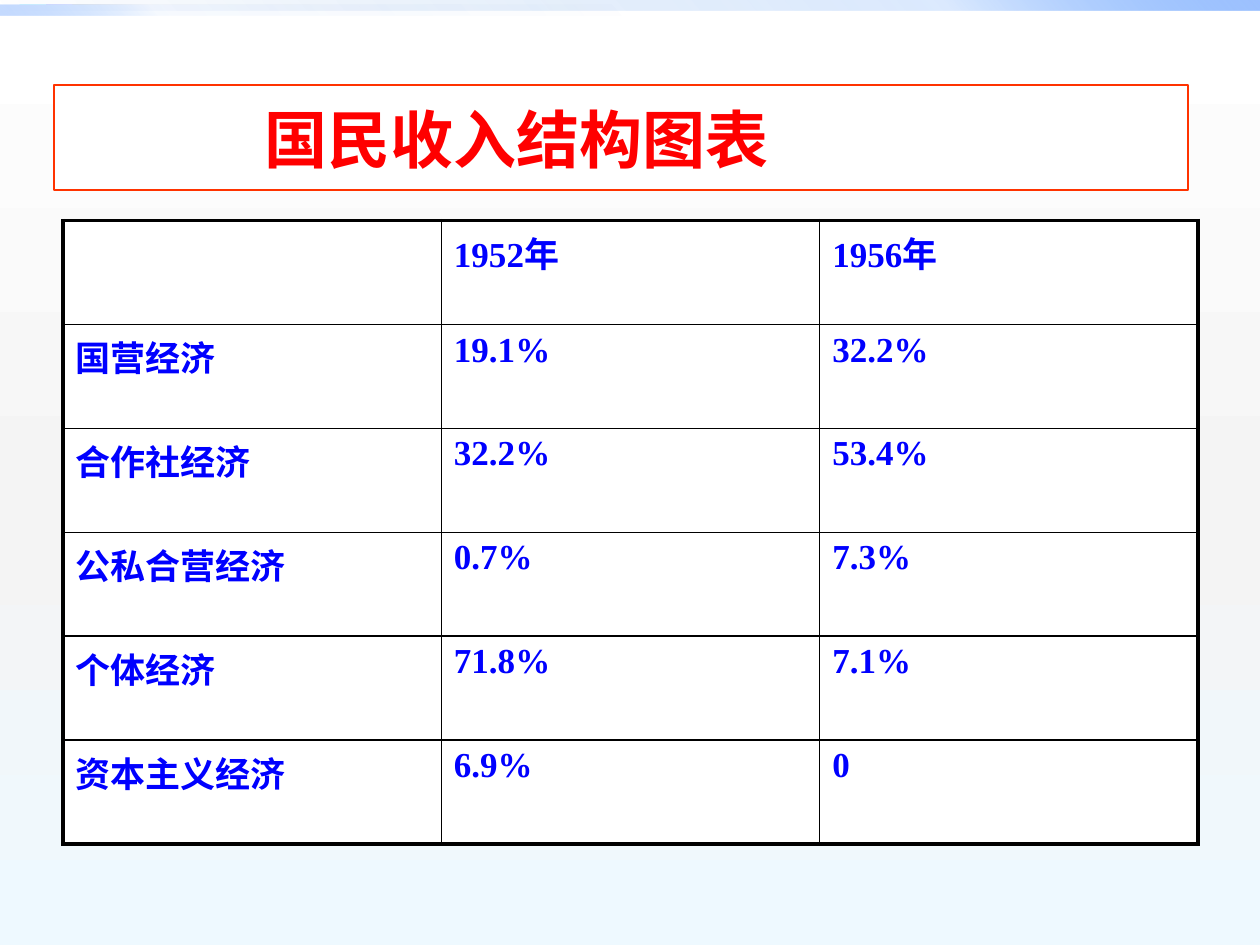
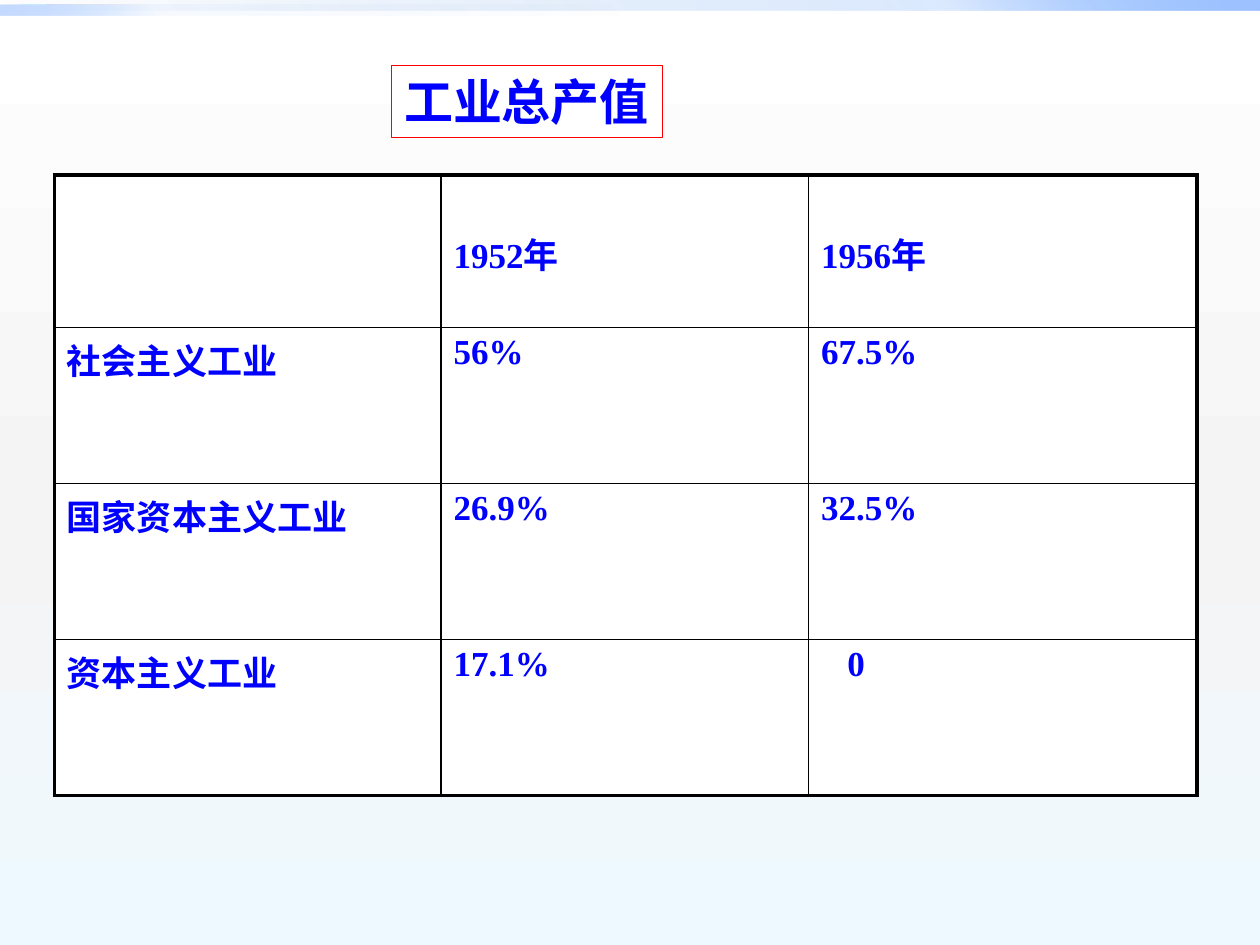
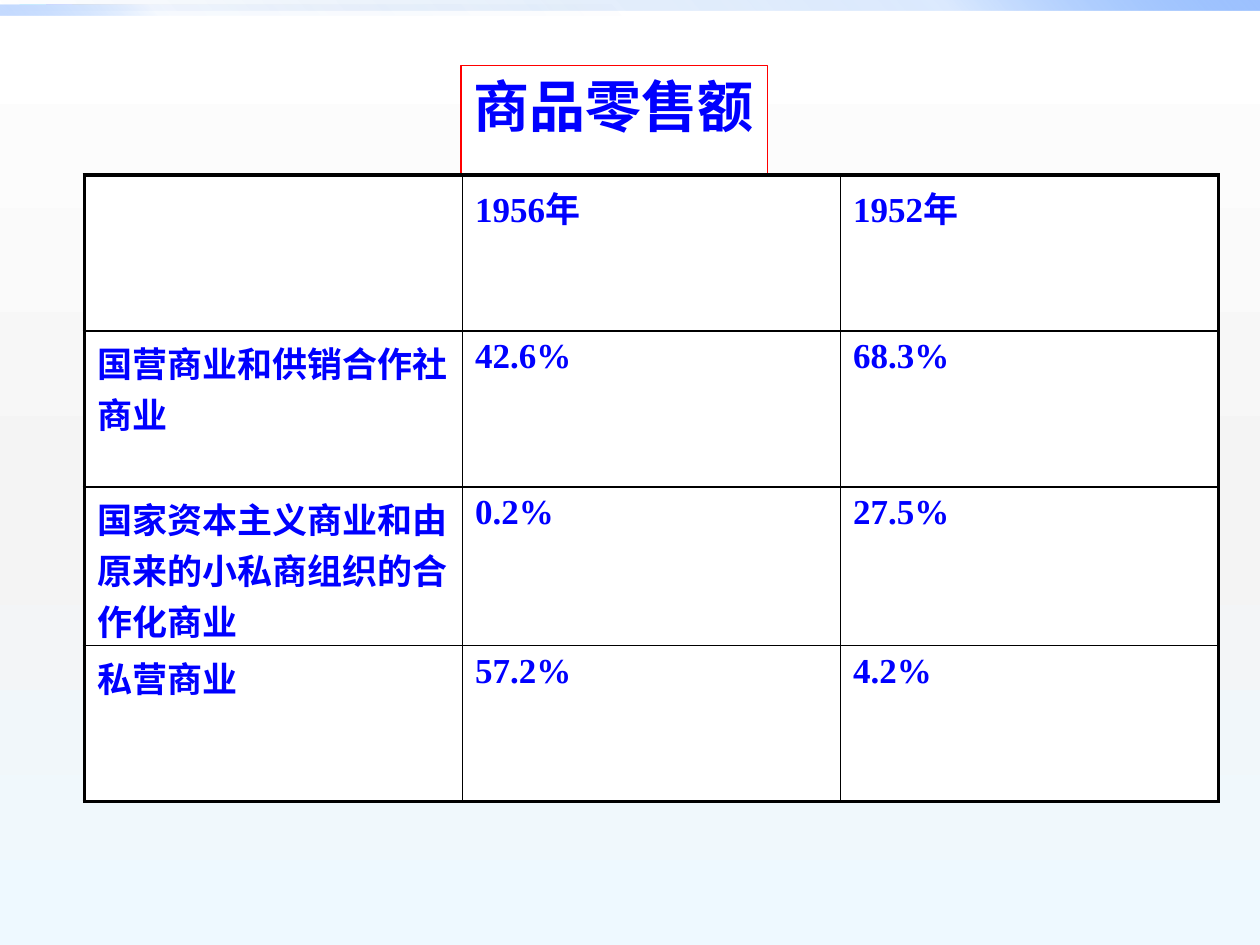
from collections import namedtuple

from lxml.etree import SubElement
from pptx import Presentation
from pptx.dml.color import RGBColor
from pptx.enum.shapes import MSO_SHAPE as Preset
from pptx.enum.text import MSO_ANCHOR as Anchor, MSO_AUTO_SIZE as AutoSize, PP_ALIGN as Align
from pptx.oxml.ns import qn
from pptx.util import Pt

WHITE = RGBColor(0xFF, 0xFF, 0xFF)
BLACK = RGBColor(0, 0, 0)
BLUE = RGBColor(0, 0, 0xFF)
RED = RGBColor(0xFF, 0, 0)
ORANGE = RGBColor(0xFF, 0x33, 0)
PALE_GREY = RGBColor(0xF4, 0xF4, 0xF4)
PALE_BLUE = RGBColor(0xEE, 0xF9, 0xFF)
DEEP_BLUE = RGBColor(0, 0x58, 0xB7)
MID_BLUE = RGBColor(0x4F, 0x95, 0xFF)
SKY_BLUE = RGBColor(0x9E, 0xC2, 0xFF)

SERIF = "Times New Roman"
SANS = "Arial"
OUTER_LINE, INNER_LINE = 2.25, 1
TITLE_ONLY = 5

Box = namedtuple("Box", "left top width height")


def in_points(box):
    return [Pt(length) for length in box]


def paint_gradient(fill, stops, angle):
    fill.gradient()
    fill.gradient_angle = angle
    stop_list = fill._fill._gradFill.find(qn("a:gsLst"))
    for stop in list(stop_list):
        stop_list.remove(stop)
    for position, color, opacity in stops:
        stop = SubElement(stop_list, qn("a:gs"), pos=str(position * 1000))
        tint = SubElement(stop, qn("a:srgbClr"), val=str(color))
        if opacity < 100:
            SubElement(tint, qn("a:alpha"), val=str(opacity * 1000))


def add_band(master, page, box, opacities, angle):
    band = page.shapes.add_shape(Preset.RECTANGLE, *in_points(box))
    band.shadow.inherit = False
    band.line.fill.background()
    stops = zip((0, 75, 100), (DEEP_BLUE, MID_BLUE, SKY_BLUE), opacities)
    paint_gradient(band.fill, stops, angle)
    next_id = max(shape.shape_id for shape in master.shapes) + 1
    band.element.nvSpPr.cNvPr.set("id", str(next_id))
    master.shapes.element.append(band.element)


def style_master(deck, page):
    master = deck.slide_master
    paint_gradient(master.background.fill,
                   [(0, WHITE, 100), (55, PALE_GREY, 100), (100, PALE_BLUE, 100)], 270)
    add_band(master, page, Box(0, 0, 720, 5.76), (0, 20, 100), 45)
    add_band(master, page, Box(0, 2.88, 360, 5.76), (0, 5, 60), 225)


def set_title(page, box, text, size, font=SANS, color=BLUE, line=RED,
              line_width=0.75, indent=0, anchor=Anchor.TOP, wrap=False):
    title = page.shapes.title
    title.left, title.top, title.width, title.height = in_points(box)
    title.fill.solid()
    title.fill.fore_color.rgb = WHITE
    title.line.color.rgb = line
    title.line.width = Pt(line_width)
    frame = title.text_frame
    frame.text = text
    frame.auto_size = AutoSize.NONE
    frame.word_wrap = wrap
    frame.vertical_anchor = anchor
    frame.margin_left = Pt(7.2 + indent)
    para = frame.paragraphs[0]
    para.alignment = Align.LEFT
    para.font.name = font
    para.font.size = Pt(size)
    para.font.bold = True
    para.font.color.rgb = color


def set_borders(cell, widths):
    properties = cell._tc.get_or_add_tcPr()
    for index, (side, width) in enumerate(zip("LRTB", widths)):
        line = SubElement(properties, qn(f"a:ln{side}"), w=str(Pt(width)))
        paint = SubElement(line, qn("a:solidFill"))
        SubElement(paint, qn("a:srgbClr"), val=str(BLACK))
        properties.insert(index, line)


def fill_cell(cell, text):
    cell.fill.solid()
    cell.fill.fore_color.rgb = WHITE
    cell.margin_bottom = 0
    cell.text = text
    font = cell.text_frame.paragraphs[0].font
    font.name = SERIF
    font.size = Pt(20)
    font.bold = True
    font.color.rgb = BLUE


def add_grid(page, box, rows, column_widths=None, header_height=None):
    row_count, column_count = len(rows), len(rows[0])
    table = page.shapes.add_table(row_count, column_count, *in_points(box)).table
    table.first_row = table.horz_banding = False
    column_widths = column_widths or [box.width / column_count] * column_count
    header_height = header_height or box.height / row_count
    body_height = (box.height - header_height) / (row_count - 1)
    for column, width in zip(table.columns, column_widths):
        column.width = Pt(width)
    for r, texts in enumerate(rows):
        table.rows[r].height = Pt(body_height if r else header_height)
        for c, text in enumerate(texts):
            cell = table.cell(r, c)
            fill_cell(cell, text)
            at_edge = (c == 0, c == column_count - 1, r == 0, r == row_count - 1)
            set_borders(cell, [OUTER_LINE if edge else INNER_LINE for edge in at_edge])
    return table


def build_income(page):
    set_title(page, Box(31, 48.75, 648, 60), "国民收入结构图表", 36, SERIF, RED,
              ORANGE, 1, indent=113, anchor=Anchor.MIDDLE, wrap=True)
    add_grid(page, Box(36, 126, 648.6, 356.4), [
        ("", "1952年", "1956年"),
        ("国营经济", "19.1%", "32.2%"),
        ("合作社经济", "32.2%", "53.4%"),
        ("公私合营经济", "0.7%", "7.3%"),
        ("个体经济", "71.8%", "7.1%"),
        ("资本主义经济", "6.9%", "0"),
    ])


def build_industry(page):
    set_title(page, Box(223.75, 37.5, 155, 41), "工业总产值", 28)
    table = add_grid(page, Box(31, 100, 653, 354.5), [
        ("", "1952年", "1956年"),
        ("社会主义工业", "56%", "67.5%"),
        ("国家资本主义工业", "26.9%", "32.5%"),
        ("资本主义工业", "17.1%", "0"),
    ], (221, 210, 222), header_height=87)
    for column in (1, 2):
        table.cell(0, column).margin_top = Pt(30)
    table.cell(3, 2).margin_left = Pt(22.2)


def build_retail(page):
    set_title(page, Box(263.5, 37.5, 175, 67), "商品零售额", 32)
    add_grid(page, Box(48.25, 100, 648, 356.4), [
        ("", "1956年", "1952年"),
        ("国营商业和供销合作社商业", "42.6%", "68.3%"),
        ("国家资本主义商业和由原来的小私商组织的合作化商业", "0.2%", "27.5%"),
        ("私营商业", "57.2%", "4.2%"),
    ])


def main():
    deck = Presentation()
    deck.slide_width, deck.slide_height = Pt(720), Pt(540)
    layout = deck.slide_layouts[TITLE_ONLY]
    pages = [deck.slides.add_slide(layout) for _ in range(3)]
    style_master(deck, pages[0])
    for page, build in zip(pages, (build_income, build_industry, build_retail)):
        build(page)
    deck.save("out.pptx")


if __name__ == "__main__":
    main()
